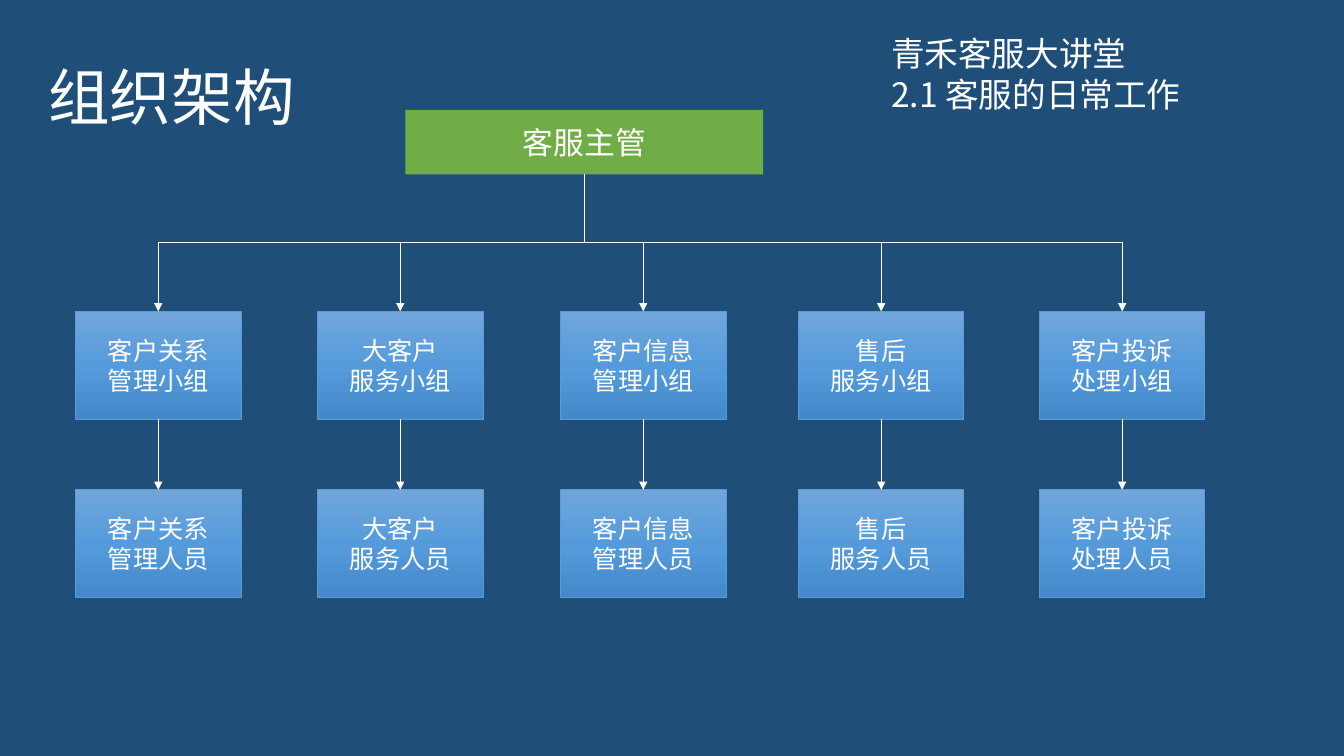
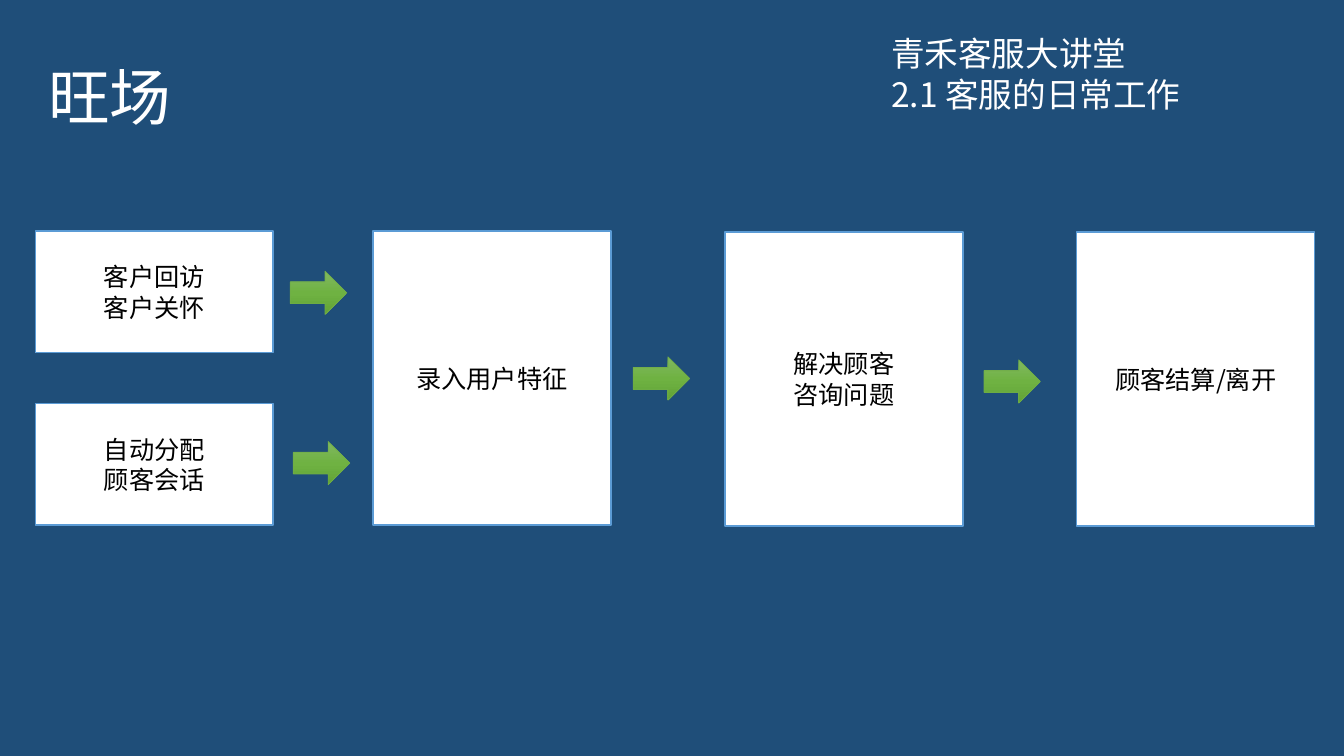
from copy import deepcopy

from pptx import Presentation
from pptx.dml.color import RGBColor
from pptx.enum.shapes import MSO_CONNECTOR, MSO_SHAPE
from pptx.enum.text import MSO_ANCHOR, PP_ALIGN
from pptx.oxml.ns import qn
from pptx.util import Inches, Pt

RECTANGLE, RIGHT_ARROW = MSO_SHAPE.RECTANGLE, MSO_SHAPE.RIGHT_ARROW
STRAIGHT = MSO_CONNECTOR.STRAIGHT
TOP, MIDDLE = MSO_ANCHOR.TOP, MSO_ANCHOR.MIDDLE
LEFT, CENTER = PP_ALIGN.LEFT, PP_ALIGN.CENTER

NAVY = RGBColor(0x1F, 0x4E, 0x79)
WHITE = RGBColor(0xFF, 0xFF, 0xFF)
BLACK = RGBColor(0x00, 0x00, 0x00)
BLUE = RGBColor(0x5B, 0x9B, 0xD5)
GREEN = RGBColor(0x70, 0xAD, 0x47)
BLUE_SHADES = [RGBColor(0x71, 0xA6, 0xDB), RGBColor(0x55, 0x9B, 0xDB), RGBColor(0x44, 0x8A, 0xCA)]
GREEN_SHADES = [RGBColor(0x81, 0xB8, 0x61), RGBColor(0x6F, 0xB2, 0x42), RGBColor(0x62, 0xA3, 0x36)]
CJK_FONT = "Noto Sans CJK SC"
LATIN_FONT = "Calibri"


def add_block(slide, box, text="", kind=None, fill=None, line=None, line_width=0.5,
              size=18, font=CJK_FONT, color=WHITE, align=CENTER, anchor=MIDDLE, spacing=1.0):
    lengths = [Inches(value) for value in box]
    if kind is None:
        shape = slide.shapes.add_textbox(*lengths)
    else:
        shape = slide.shapes.add_shape(kind, *lengths)
        shape.shadow.inherit = False
        if isinstance(fill, list):
            shape.fill.gradient()
            shape.fill.gradient_angle = 270
            stops = shape.element.spPr.find(qn("a:gradFill")).find(qn("a:gsLst"))
            stops.insert(1, deepcopy(stops[0]))
            for index, stop in enumerate(shape.fill.gradient_stops):
                stop.position = index / 2
                stop.color.rgb = fill[index]
        else:
            shape.fill.solid()
            shape.fill.fore_color.rgb = fill
        if line is None:
            shape.line.fill.background()
        else:
            shape.line.color.rgb = line
            shape.line.width = Pt(line_width)
    if text:
        frame = shape.text_frame
        frame.word_wrap = True
        frame.vertical_anchor = anchor
        frame.text = text
        for paragraph in frame.paragraphs:
            paragraph.alignment = align
            paragraph.line_spacing = spacing
            run = paragraph.runs[0]
            run.font.size = Pt(size)
            run.font.name = font
            run.font.color.rgb = color
            east_asian = run.font._element.makeelement(qn("a:ea"), {"typeface": CJK_FONT})
            run.font._element.find(qn("a:latin")).addnext(east_asian)
    return shape


def add_line(slide, start, end, arrow=True):
    connector = slide.shapes.add_connector(STRAIGHT, *start, *end)
    connector.line.color.rgb = WHITE
    connector.line.width = Pt(0.5)
    properties = connector.element.spPr
    if arrow:
        outline = properties.find(qn("a:ln"))
        outline.append(outline.makeelement(qn("a:tailEnd"), {"type": "triangle"}))
    properties.append(properties.makeelement(qn("a:effectLst"), {}))
    return connector


presentation = Presentation()
presentation.slide_width = Inches(13.33)
presentation.slide_height = Inches(7.5)

slides = []
for title in ["组织架构", "旺场"]:
    slide = presentation.slides.add_slide(presentation.slide_layouts[6])
    slide.background.fill.solid()
    slide.background.fill.fore_color.rgb = NAVY
    add_block(slide, (8.74, 0.68, 3.13, 0.5), "2.1 客服的日常工作", size=24, align=LEFT, anchor=TOP)
    add_block(slide, (8.74, 0.28, 2.56, 0.5), "青禾客服大讲堂", size=24, align=LEFT, anchor=TOP)
    add_block(slide, (0.38, 0.27, 7.2, 1.45), title, size=44, align=LEFT, spacing=0.9)
    slides.append(slide)
organization_slide, process_slide = slides

manager = add_block(organization_slide, (4.02, 1.09, 3.55, 0.64), "客服主管",
                    kind=RECTANGLE, fill=GREEN, size=22)
bus_y = Inches(2.4)
manager_x = manager.left + manager.width // 2
trunk = add_line(organization_slide, (manager_x, manager.top + manager.height),
                 (manager_x, bus_y), arrow=False)
trunk.begin_connect(manager, 2)

teams = [
    (0.75, "客户关系", "管理"),
    (3.15, "大客户", "服务"),
    (5.56, "客户信息", "管理"),
    (7.92, "售后", "服务"),
    (10.31, "客户投诉", "处理"),
]
centers = []
for left, subject, duty in teams:
    group, staff = [
        add_block(organization_slide, (left, top, 1.64, 1.07), f"{subject}\n{duty}{role}",
                  kind=RECTANGLE, fill=BLUE_SHADES, line=BLUE, font=LATIN_FONT)
        for top, role in [(3.09, "小组"), (4.86, "人员")]
    ]
    center = group.left + group.width // 2
    centers.append(center)
    branch = add_line(organization_slide, (center, bus_y), (center, group.top))
    branch.end_connect(group, 0)
    link = add_line(organization_slide, (center, group.top + group.height), (center, staff.top))
    link.begin_connect(group, 2)
    link.end_connect(staff, 0)
add_line(organization_slide, (centers[0], bus_y), (centers[-1], bus_y), arrow=False)

steps = [
    (0.35, 2.29, 1.21, "客户回访\n客户关怀"),
    (0.35, 4, 1.21, "自动分配\n顾客会话"),
    (3.7, 2.29, 2.92, "录入用户特征"),
    (7.19, 2.3, 2.92, "解决顾客\n咨询问题"),
    (10.68, 2.3, 2.92, "顾客结算/离开"),
]
for left, top, height, text in steps:
    add_block(process_slide, (left, top, 2.36, height), text, kind=RECTANGLE,
              fill=WHITE, line=BLUE, line_width=1, color=BLACK)

for left, top in [(2.88, 2.69), (2.91, 4.38), (6.28, 3.54), (9.76, 3.57)]:
    add_block(process_slide, (left, top, 0.56, 0.43), kind=RIGHT_ARROW,
              fill=GREEN_SHADES, line=GREEN)

presentation.save("out.pptx")
